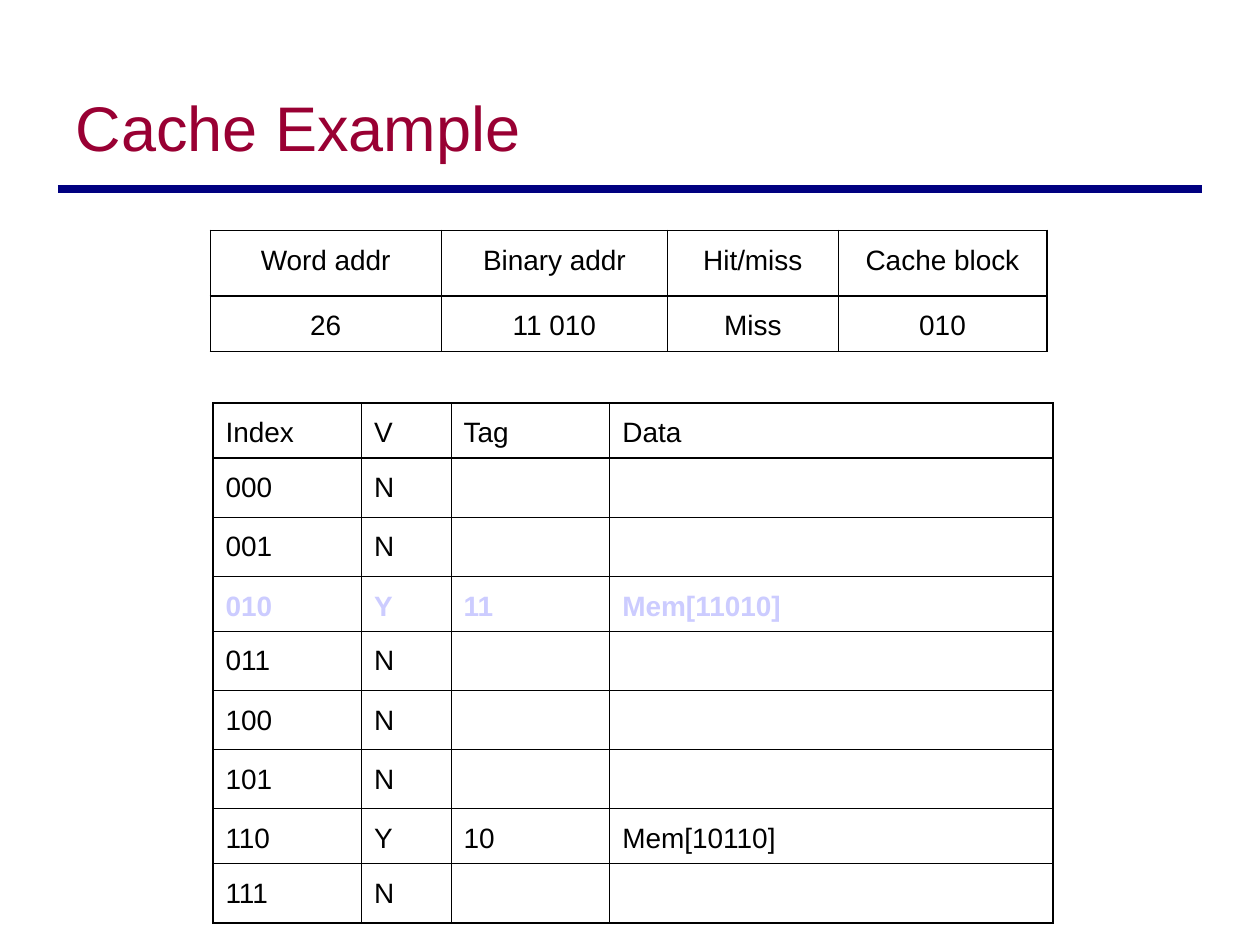
from dataclasses import dataclass

from lxml import etree
from pptx import Presentation
from pptx import util as u
from pptx.dml.color import RGBColor
from pptx.enum import shapes, text
from pptx.oxml import ns


@dataclass(frozen=True)
class Theme:
    font: str = "Arial"
    title_color: str = "990033"
    rule_color: str = "000080"
    text_color: str = "000000"
    highlight_color: str = "CCCCFF"
    title_size: float = 36
    table_size: float = 16
    line_spacing: float = 1.26
    rule_width: float = 4.5
    outer_border: float = 1.08
    header_border: float = 0.75
    inner_border: float = 0.45


@dataclass(frozen=True)
class TableSpec:
    left: float
    top: float
    columns: tuple[float, ...]
    heights: tuple[float, ...]
    rows: tuple[tuple[str, ...], ...]
    alignment: text.PP_ALIGN
    highlighted_row: int | None = None


THEME = Theme()

CACHE_ROWS = (
    ("Index", "V", "Tag", "Data"),
    ("000", "N", "", ""),
    ("001", "N", "", ""),
    ("010", "Y", "11", "Mem[11010]"),
    ("011", "N", "", ""),
    ("100", "N", "", ""),
    ("101", "N", "", ""),
    ("110", "Y", "10", "Mem[10110]"),
    ("111", "N", "", ""),
)
FILLED_HEIGHT = 3.92 / len(CACHE_ROWS)
EMPTY_HEIGHT = 0.47

CACHE_TABLE = TableSpec(
    left=1.69,
    top=3.2,
    columns=(1.18, 0.71, 1.26, 3.52),
    heights=tuple(FILLED_HEIGHT if all(row) else EMPTY_HEIGHT for row in CACHE_ROWS),
    rows=CACHE_ROWS,
    alignment=text.PP_ALIGN.LEFT,
    highlighted_row=3,
)

ACCESS_TABLE = TableSpec(
    left=1.67,
    top=1.83,
    columns=(1.83, 1.8, 1.35, 1.66),
    heights=(0.52, 0.44),
    rows=(
        ("Word addr", "Binary addr", "Hit/miss", "Cache block"),
        ("26", "11 010", "Miss", "010"),
    ),
    alignment=text.PP_ALIGN.CENTER,
)


def format_paragraph(paragraph, size: float, color: str, alignment, bold: bool = False) -> None:
    paragraph.alignment = alignment
    paragraph.line_spacing = THEME.line_spacing
    paragraph.font.name = THEME.font
    paragraph.font.size = u.Pt(size)
    paragraph.font.bold = bold
    paragraph.font.color.rgb = RGBColor.from_string(color)


def add_border(cell, side: str, width: float) -> None:
    properties = cell._tc.get_or_add_tcPr()
    line = etree.SubElement(properties, ns.qn(f"a:ln{side}"), w=str(int(u.Pt(width))))
    fill = etree.SubElement(line, ns.qn("a:solidFill"))
    etree.SubElement(fill, ns.qn("a:srgbClr"), val=THEME.text_color)


def horizontal_width(edge: int, row_count: int) -> float:
    if edge in (0, row_count):
        return THEME.outer_border
    return THEME.header_border if edge == 1 else THEME.inner_border


def vertical_width(edge: int, column_count: int) -> float:
    return THEME.outer_border if edge in (0, column_count) else THEME.inner_border


def add_grid(slide, spec: TableSpec) -> None:
    row_count, column_count = len(spec.rows), len(spec.columns)
    table = slide.shapes.add_table(
        row_count, column_count, u.Inches(spec.left), u.Inches(spec.top),
        u.Inches(sum(spec.columns)), u.Inches(sum(spec.heights)),
    ).table
    table.first_row = False
    table.horz_banding = False
    for column, width in zip(table.columns, spec.columns):
        column.width = u.Inches(width)
    for row, height in zip(table.rows, spec.heights):
        row.height = u.Inches(height)
    for row_index, values in enumerate(spec.rows):
        highlighted = row_index == spec.highlighted_row
        color = THEME.highlight_color if highlighted else THEME.text_color
        for column_index, value in enumerate(values):
            cell = table.cell(row_index, column_index)
            if value:
                cell.text = value
                format_paragraph(
                    cell.text_frame.paragraphs[0], THEME.table_size, color,
                    spec.alignment, highlighted,
                )
            add_border(cell, "L", vertical_width(column_index, column_count))
            add_border(cell, "R", vertical_width(column_index + 1, column_count))
            add_border(cell, "T", horizontal_width(row_index, row_count))
            add_border(cell, "B", horizontal_width(row_index + 1, row_count))
            cell.fill.background()


def add_title(slide, title: str) -> None:
    shape = slide.shapes.title
    shape.left, shape.top = u.Inches(0.5), u.Inches(0.3)
    shape.width, shape.height = u.Inches(9), u.Inches(1.25)
    frame = shape.text_frame
    frame.text = title
    frame.auto_size = text.MSO_AUTO_SIZE.NONE
    frame.vertical_anchor = text.MSO_ANCHOR.MIDDLE
    format_paragraph(
        frame.paragraphs[0], THEME.title_size, THEME.title_color, text.PP_ALIGN.LEFT
    )


def add_rule(slide) -> None:
    rule = slide.shapes.add_connector(
        shapes.MSO_CONNECTOR.STRAIGHT,
        u.Inches(0.46), u.Inches(1.5), u.Inches(9.54), u.Inches(1.5),
    )
    rule.line.color.rgb = RGBColor.from_string(THEME.rule_color)
    rule.line.width = u.Pt(THEME.rule_width)
    etree.SubElement(rule._element.spPr, ns.qn("a:effectLst"))


def main() -> None:
    presentation = Presentation()
    presentation.slide_width = u.Inches(10)
    presentation.slide_height = u.Inches(7.5)
    slide = presentation.slides.add_slide(presentation.slide_layouts[5])
    add_title(slide, "Cache Example")
    add_rule(slide)
    for spec in (CACHE_TABLE, ACCESS_TABLE):
        add_grid(slide, spec)
    presentation.save("out.pptx")


if __name__ == "__main__":
    main()
